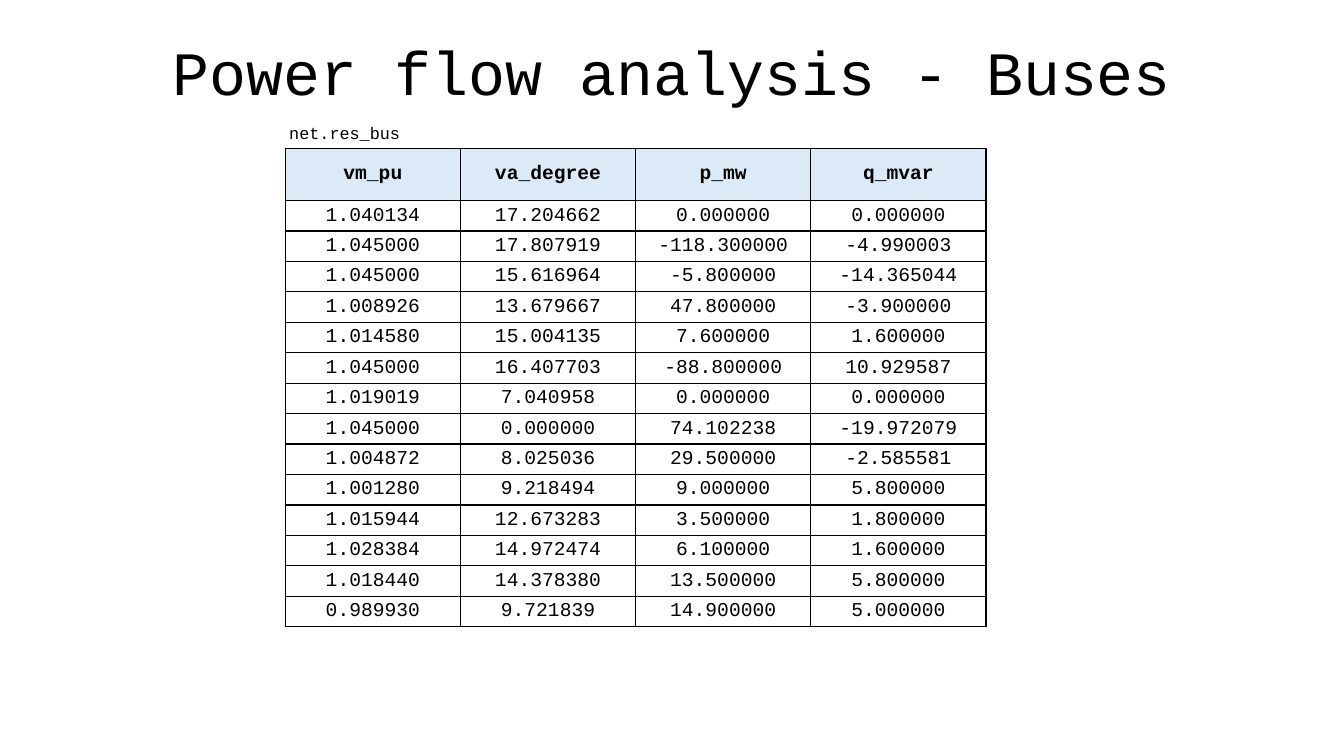
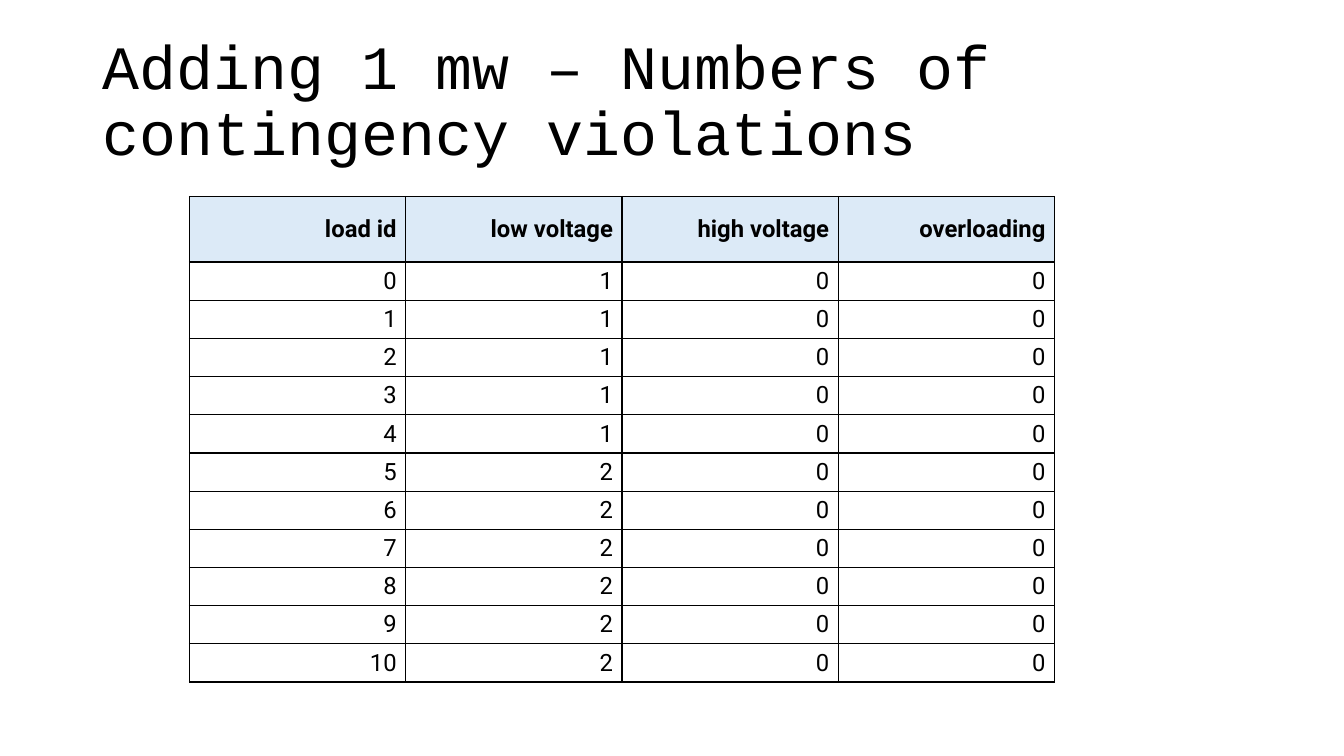
from dataclasses import dataclass

from lxml.etree import SubElement
from pptx import Presentation
from pptx.dml.color import RGBColor
from pptx.enum.text import MSO_ANCHOR, MSO_AUTO_SIZE, PP_ALIGN
from pptx.oxml.ns import qn
from pptx.util import Inches, Pt


@dataclass(frozen=True)
class Theme:
    ink: str = "000000"
    header_fill: str = "DCEAF7"
    body_fill: str = "FFFFFF"
    mono: str = "Courier New"
    sans: str = "Roboto"
    title_size: int = 44
    caption_size: int = 12
    border_width: int = 1
    title_spacing: float = 0.9


THEME = Theme()
TITLE_ONLY = 5

BUS_HEADER = ("vm_pu", "va_degree", "p_mw", "q_mvar")
BUS_RESULTS = (
    (1.040134, 17.204662, 0, 0),
    (1.045, 17.807919, -118.3, -4.990003),
    (1.045, 15.616964, -5.8, -14.365044),
    (1.008926, 13.679667, 47.8, -3.9),
    (1.01458, 15.004135, 7.6, 1.6),
    (1.045, 16.407703, -88.8, 10.929587),
    (1.019019, 7.040958, 0, 0),
    (1.045, 0, 74.102238, -19.972079),
    (1.004872, 8.025036, 29.5, -2.585581),
    (1.00128, 9.218494, 9, 5.8),
    (1.015944, 12.673283, 3.5, 1.8),
    (1.028384, 14.972474, 6.1, 1.6),
    (1.01844, 14.37838, 13.5, 5.8),
    (0.98993, 9.721839, 14.9, 5),
)

VIOLATION_HEADER = ("load id", "low voltage", "high voltage", "overloading")
LOW_VOLTAGE_COUNTS = (1, 1, 1, 1, 1, 2, 2, 2, 2, 2, 2)

# Format values of the two tables
BUS_STYLE = {
    "font": THEME.mono, "size": 14, "align": PP_ALIGN.CENTER,
    "margin_x": 0.08, "margin_y": 0.04,
}
VIOLATION_STYLE = {
    "font": THEME.sans, "size": 17, "align": PP_ALIGN.RIGHT,
    "margin_x": 0.09, "margin_y": 0.05,
}


def apply(target, values):
    for name, value in values.items():
        setattr(target, name, value)


def write(frame, text, font, size, bold=False, align=PP_ALIGN.LEFT):
    """Put one formatted paragraph into a text frame."""
    paragraph = frame.paragraphs[0]
    paragraph.alignment = align
    run = paragraph.add_run()
    run.text = text
    apply(run.font, {"name": font, "size": Pt(size), "bold": bold})
    run.font.color.rgb = RGBColor.from_string(THEME.ink)
    return paragraph


def add_titled_slide(deck, text, top, align=PP_ALIGN.LEFT):
    slide = deck.slides.add_slide(deck.slide_layouts[TITLE_ONLY])
    title = slide.shapes.title
    apply(title, {"left": Inches(0.92), "top": Inches(top),
                  "width": Inches(11.5), "height": Inches(1.45)})
    apply(title.text_frame, {"word_wrap": True, "auto_size": MSO_AUTO_SIZE.NONE,
                             "vertical_anchor": MSO_ANCHOR.MIDDLE})
    heading = write(title.text_frame, text, THEME.mono, THEME.title_size, align=align)
    heading.line_spacing = THEME.title_spacing
    return slide


def add_caption(slide, text, left, top, width, height):
    caption = slide.shapes.add_textbox(*map(Inches, (left, top, width, height)))
    caption.text_frame.word_wrap = True
    write(caption.text_frame, text, THEME.mono, THEME.caption_size)


def add_borders(cell):
    """Draw all four cell borders; they must come before the fill."""
    properties = cell._tc.get_or_add_tcPr()
    for side in ("lnL", "lnR", "lnT", "lnB"):
        line = SubElement(properties, qn(f"a:{side}"), w=str(Pt(THEME.border_width)))
        fill = SubElement(line, qn("a:solidFill"))
        SubElement(fill, qn("a:srgbClr"), val=THEME.ink)


def format_cell(cell, text, style, is_header):
    add_borders(cell)
    cell.fill.solid()
    fill = THEME.header_fill if is_header else THEME.body_fill
    cell.fill.fore_color.rgb = RGBColor.from_string(fill)
    margin_x, margin_y = Inches(style["margin_x"]), Inches(style["margin_y"])
    apply(cell, {"margin_left": margin_x, "margin_right": margin_x,
                 "margin_top": margin_y, "margin_bottom": margin_y,
                 "vertical_anchor": MSO_ANCHOR.MIDDLE})
    write(cell.text_frame, text, style["font"], style["size"], is_header, style["align"])


def add_result_table(slide, rows, box, header_height, style):
    left, top, width, height = map(Inches, box)
    table = slide.shapes.add_table(
        len(rows), len(rows[0]), left, top, width, height).table
    table.horz_banding = False

    # A taller header, then equal rows
    body_height = (height - Inches(header_height)) // (len(rows) - 1)
    for index, row in enumerate(table.rows):
        row.height = body_height if index else Inches(header_height)

    for row_index, values in enumerate(rows):
        for column_index, text in enumerate(values):
            format_cell(table.cell(row_index, column_index), text, style,
                        row_index == 0)


def build_bus_slide(deck):
    slide = add_titled_slide(deck, "Power flow analysis - Buses", 0.02, PP_ALIGN.CENTER)
    rows = [BUS_HEADER] + [[f"{value:.6f}" for value in bus] for bus in BUS_RESULTS]
    add_result_table(slide, rows, (2.83, 1.47, 6.95, 4.75), 0.52, BUS_STYLE)
    add_caption(slide, "net.res_bus", 2.77, 1.17, 4.78, 0.3)


def build_violation_slide(deck):
    slide = add_titled_slide(
        deck, "Adding 1 mw – Numbers of contingency violations", 0.29)
    rows = [VIOLATION_HEADER] + [
        (str(load), str(low), "0", "0") for load, low in enumerate(LOW_VOLTAGE_COUNTS)]
    add_result_table(slide, rows, (1.88, 1.95, 8.58, 4.76), 0.65, VIOLATION_STYLE)


def main():
    deck = Presentation()
    apply(deck, {"slide_width": Inches(13.33), "slide_height": Inches(7.5)})
    build_bus_slide(deck)
    build_violation_slide(deck)
    deck.save("out.pptx")


if __name__ == "__main__":
    main()
